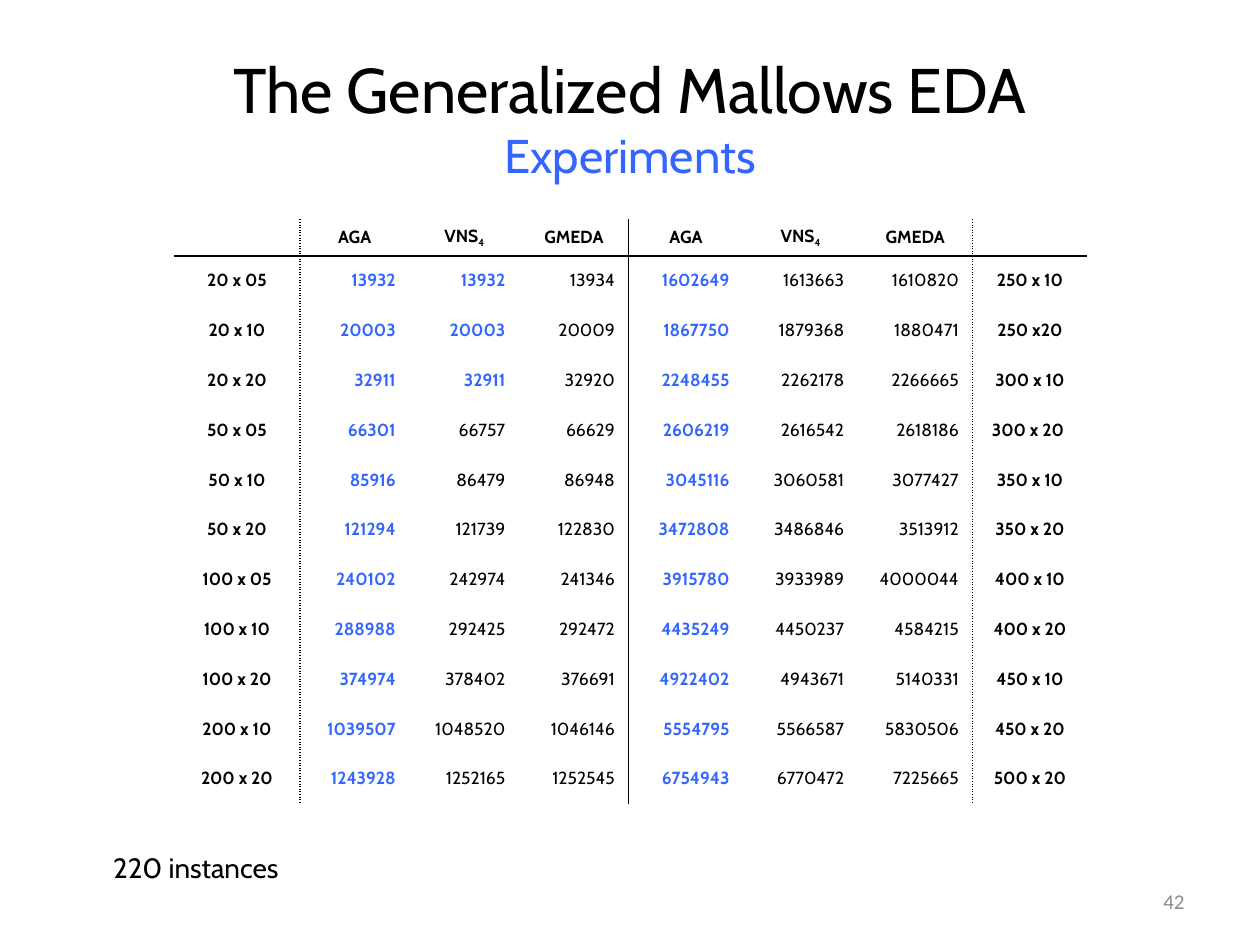
from dataclasses import dataclass
from typing import Any

from lxml import etree
from pptx import Presentation
from pptx import util as u
from pptx.dml import color as colors
from pptx.enum import text
from pptx.oxml import ns

RESULTS = [
    ("20 x 05", 13932, 13932, 13934, 1602649, 1613663, 1610820, "250 x 10"),
    ("20 x 10", 20003, 20003, 20009, 1867750, 1879368, 1880471, "250 x20"),
    ("20 x 20", 32911, 32911, 32920, 2248455, 2262178, 2266665, "300 x 10"),
    ("50 x 05", 66301, 66757, 66629, 2606219, 2616542, 2618186, "300 x 20 "),
    ("50 x 10", 85916, 86479, 86948, 3045116, 3060581, 3077427, "350 x 10"),
    ("50 x 20", 121294, 121739, 122830, 3472808, 3486846, 3513912, "350 x 20"),
    ("100 x 05", 240102, 242974, 241346, 3915780, 3933989, 4000044, "400 x 10"),
    ("100 x 10", 288988, 292425, 292472, 4435249, 4450237, 4584215, "400 x 20"),
    ("100 x 20", 374974, 378402, 376691, 4922402, 4943671, 5140331, "450 x 10"),
    ("200 x 10", 1039507, 1048520, 1046146, 5554795, 5566587, 5830506, "450 x 20"),
    ("200 x 20", 1243928, 1252165, 1252545, 6754943, 6770472, 7225665, "500 x 20"),
]
ALGORITHMS = ("AGA", "VNS_4", "GMEDA")
COLUMN_WIDTHS = [1] + [0.87] * 3 + [0.91] * 4
COLUMN_RULES = {0: "sysDot", 3: "solid", 6: "sysDot"}
TABLE_HEIGHT = 4.64
HEADER_HEIGHT = 0.29
ALIGNMENTS = {
    "left": text.PP_ALIGN.LEFT,
    "center": text.PP_ALIGN.CENTER,
    "right": text.PP_ALIGN.RIGHT,
}


def rgb(value):
    return colors.RGBColor.from_string(value)


def add_run(paragraph, content, size=10, color="000000", bold=False, font="Cabin", baseline=0):
    run = paragraph.add_run()
    run.text = content
    run.font.name = font
    run.font.size = u.Pt(size)
    run.font.bold = bold
    run.font.color.rgb = rgb(color)
    if baseline:
        run.font._element.set("baseline", str(baseline))


def set_border(cell, position, side, dash, color):
    line = etree.Element(ns.qn(f"a:ln{side}"), w=str(u.Pt(1)))
    if dash:
        fill = etree.SubElement(line, ns.qn("a:solidFill"))
        etree.SubElement(fill, ns.qn("a:srgbClr"), val=color)
        etree.SubElement(line, ns.qn("a:prstDash"), val=dash)
    else:
        etree.SubElement(line, ns.qn("a:noFill"))
    cell._tc.get_or_add_tcPr().insert(position, line)


@dataclass
class SlideBuilder:
    slide: Any
    ink: str = "000000"
    accent: str = "3366FF"
    muted: str = "8C8C8C"

    def text_box(self, left, top, width, height, lines, align="left", middle=False, wrap=True):
        shape = self.slide.shapes.add_textbox(
            u.Inches(left), u.Inches(top), u.Inches(width), u.Inches(height)
        )
        frame = shape.text_frame
        frame.word_wrap = wrap
        frame.vertical_anchor = text.MSO_ANCHOR.MIDDLE if middle else text.MSO_ANCHOR.TOP
        paragraph = frame.paragraphs[0]
        paragraph.alignment = ALIGNMENTS[align]
        for index, (content, style) in enumerate(lines):
            if index:
                paragraph.add_line_break()
            add_run(paragraph, content, **style)

    def cell(self, cell, row, column, content, align="center", **style):
        cell.fill.background()
        cell.vertical_anchor = text.MSO_ANCHOR.MIDDLE
        cell.margin_left = cell.margin_right = u.Inches(0.11)
        cell.margin_top = cell.margin_bottom = u.Inches(0.05)
        paragraph = cell.text_frame.paragraphs[0]
        paragraph.alignment = ALIGNMENTS[align]
        paragraph.font.size = u.Pt(10)
        base, _, subscript = content.partition("_")
        if base:
            add_run(paragraph, base, **style)
        if subscript:
            add_run(paragraph, subscript, baseline=-25000, **style)
        borders = {
            "L": COLUMN_RULES.get(column - 1),
            "R": COLUMN_RULES.get(column),
            "T": "solid" if row == 1 else None,
            "B": "solid" if row == 0 else None,
        }
        for position, (side, dash) in enumerate(borders.items()):
            set_border(cell, position, side, dash, self.ink)

    def results_table(self, left, top):
        shape = self.slide.shapes.add_table(
            len(RESULTS) + 1, len(COLUMN_WIDTHS), u.Inches(left), u.Inches(top),
            u.Inches(sum(COLUMN_WIDTHS)), u.Inches(TABLE_HEIGHT),
        )
        table = shape.table
        table.first_row = table.horz_banding = False
        for column, width in zip(table.columns, COLUMN_WIDTHS):
            column.width = u.Inches(width)
        for row in table.rows:
            row.height = u.Inches((TABLE_HEIGHT - HEADER_HEIGHT) / len(RESULTS))
        table.rows[0].height = u.Inches(HEADER_HEIGHT)

        for column, name in enumerate(("", *ALGORITHMS, *ALGORITHMS, "")):
            self.cell(table.cell(0, column), 0, column, name, bold=True)
        for row, values in enumerate(RESULTS, 1):
            best = {min(values[1:4]), min(values[4:7])}
            for column, value in enumerate(values):
                is_label = isinstance(value, str)
                is_best = value in best
                self.cell(
                    table.cell(row, column), row, column, str(value),
                    align="center" if is_label else "right",
                    bold=is_label or is_best,
                    color=self.accent if is_best else self.ink,
                )


def main():
    presentation = Presentation()
    presentation.slide_width = u.Inches(10)
    presentation.slide_height = u.Inches(7.5)
    builder = SlideBuilder(presentation.slides.add_slide(presentation.slide_layouts[6]))
    title = [
        ("The Generalized Mallows EDA", {"size": 36}),
        ("Experiments", {"size": 27, "color": builder.accent}),
    ]
    builder.text_box(0.5, 0.3, 9, 1.25, title, align="center", middle=True)
    builder.results_table(1.38, 1.74)
    builder.text_box(0.8, 6.7, 1.61, 0.37, [("220 instances", {"size": 16})], wrap=False)
    page_number = [("42", {"size": 12, "color": builder.muted, "font": "Calibri"})]
    builder.text_box(7.17, 6.95, 2.33, 0.4, page_number, align="right", middle=True)
    presentation.save("out.pptx")


if __name__ == "__main__":
    main()
